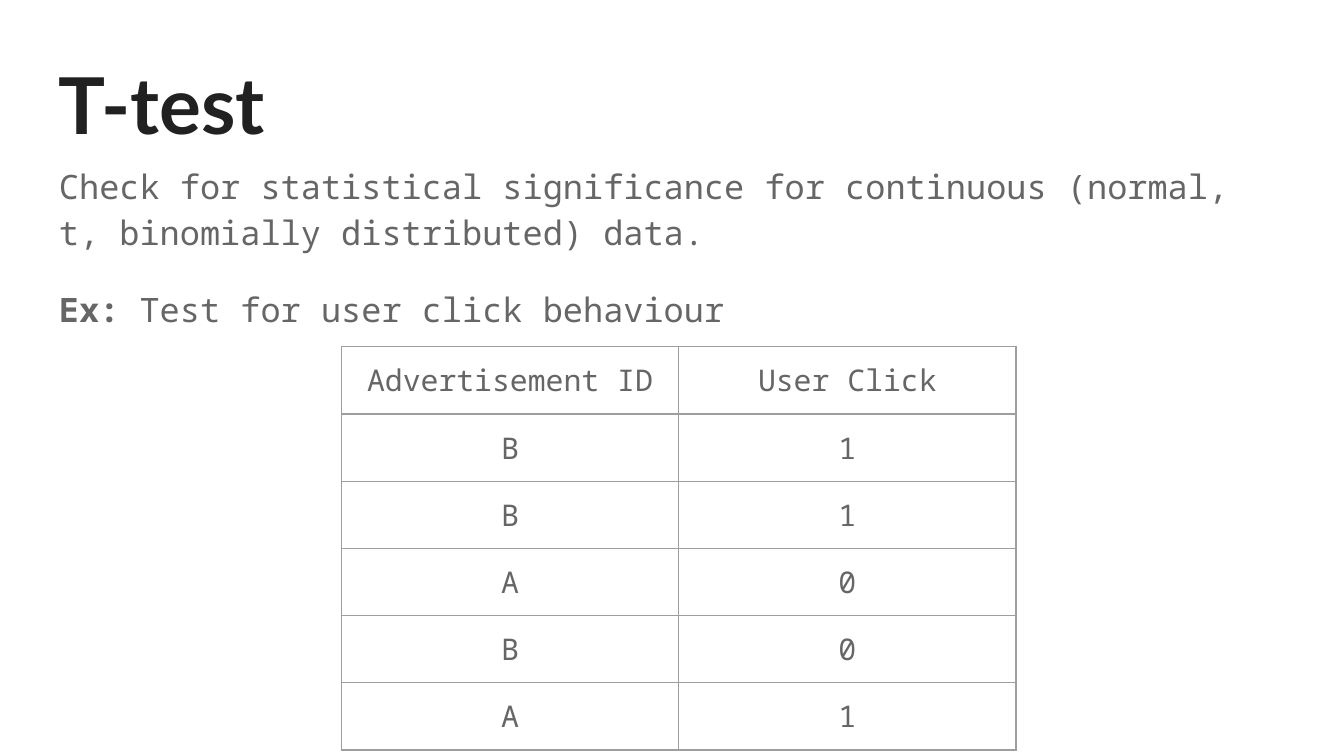
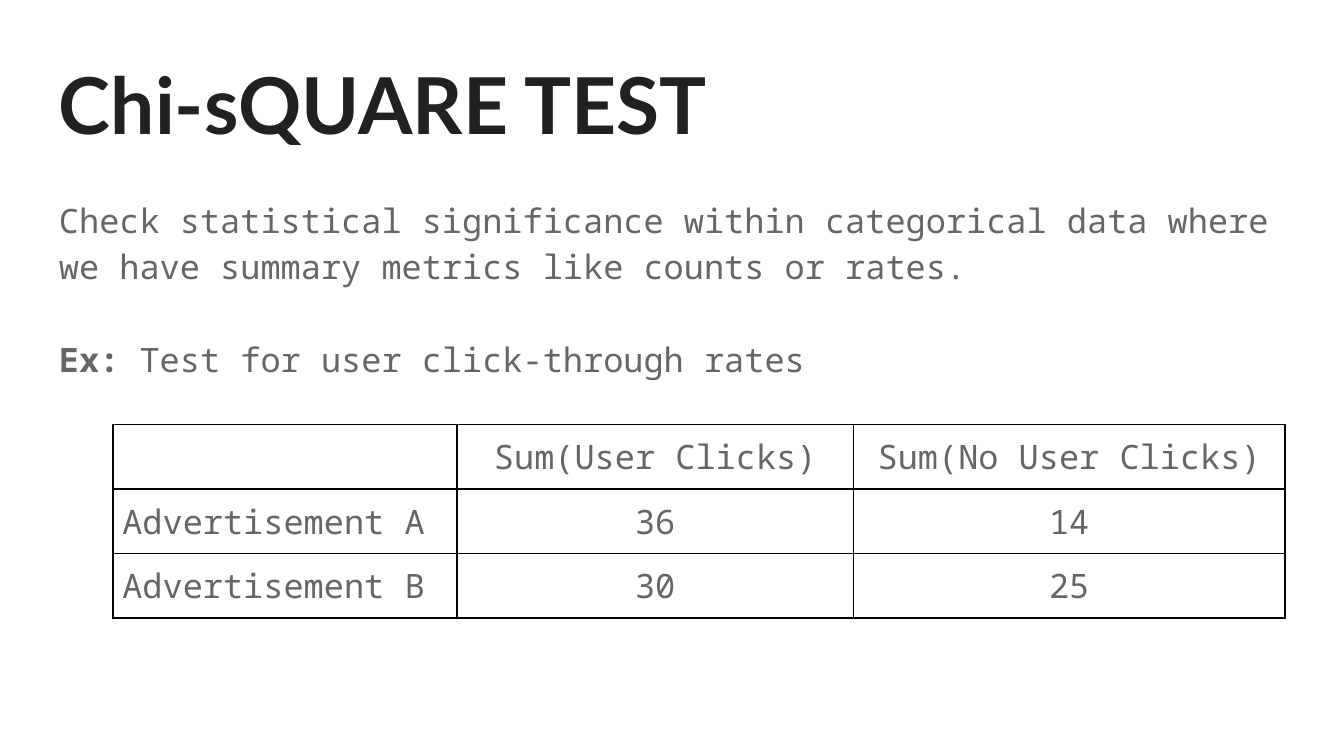
from dataclasses import dataclass

from lxml import etree
from pptx import Presentation
from pptx import util as u
from pptx.dml.color import RGBColor
from pptx.enum import text
from pptx.oxml.ns import qn
from pptx.slide import Slide

HUES = {"title": "212121", "body": "666666", "grey": "9E9E9E", "black": "000000", "page": "FFFFFF"}
HEAD = "Lato"
MONO = "Noto Sans Mono"
LEFT, WIDTH, PAD = 0.34, 9.32, 0.1


@dataclass(frozen=True)
class Grid:
    left: float
    top: float
    cols: tuple[float, ...]
    row: float
    pad: float
    size: int
    hue: str
    line: float
    cells: tuple[tuple[str, ...], ...]
    names: bool = False


@dataclass(frozen=True)
class Page:
    title: str
    top: float
    lead: str
    case: str
    gap: int
    grid: Grid


PAGES = (
    Page(
        "T-test",
        1.09,
        "Check for statistical significance for continuous (normal, t, binomially distributed) data.",
        "Test for user click behaviour",
        16,
        Grid(2.54, 2.58, (2.51, 2.51), 0.5, 0.1, 16, "grey", 0.75, (
            ("Advertisement ID", "User Click"),
            ("B", "1"),
            ("B", "1"),
            ("A", "0"),
            ("B", "0"),
            ("A", "1"),
        )),
    ),
    Page(
        "Chi-sQUARE TEST",
        1.34,
        "Check statistical significance within categorical data where we have summary metrics like counts or rates.",
        "Test for user click-through rates",
        25,
        Grid(0.84, 3.16, (2.56, 2.95, 3.21), 0.48, 0.07, 18, "black", 1, (
            ("", "Sum(User Clicks)", "Sum(No User Clicks)"),
            ("Advertisement A", "36", "14"),
            ("Advertisement B", "30", "25"),
        ), names=True),
    ),
)


def add_run(para, words: str, size: int, face: str = MONO, hue: str = "body", bold: bool = False) -> None:
    run = para.add_run()
    run.text = words
    font = run.font
    font.size, font.name, font.bold = u.Pt(size), face, bold
    font.color.rgb = RGBColor.from_string(HUES[hue])


def set_pad(item, pad: float) -> None:
    item.margin_left = item.margin_right = u.Inches(pad)
    item.margin_top = item.margin_bottom = u.Inches(pad)


def add_box(slide: Slide, top: float, height: float):
    box = slide.shapes.add_textbox(u.Inches(LEFT), u.Inches(top), u.Inches(WIDTH), u.Inches(height))
    frame = box.text_frame
    frame.word_wrap = True
    frame.vertical_anchor = text.MSO_ANCHOR.TOP
    set_pad(frame, PAD)
    return frame


def add_title(slide: Slide, words: str) -> None:
    frame = add_box(slide, 0.32, 0.88)
    add_run(frame.paragraphs[0], words, 42, HEAD, "title", True)


def add_body(slide: Slide, page: Page) -> None:
    frame = add_box(slide, page.top, 3.65)
    lead, case = frame.paragraphs[0], frame.add_paragraph()
    lead.line_spacing = case.line_spacing = 1.15
    case.space_before = u.Pt(page.gap)
    add_run(lead, page.lead, 18)
    add_run(case, "Ex: ", 18, bold=True)
    add_run(case, page.case, 18)


def add_edges(cell, hue: str, line: float) -> None:
    props = cell._tc.get_or_add_tcPr()
    for side in ("lnL", "lnR", "lnT", "lnB"):
        edge = etree.SubElement(props, qn(f"a:{side}"), w=str(u.Pt(line)))
        fill = etree.SubElement(edge, qn("a:solidFill"))
        etree.SubElement(fill, qn("a:srgbClr"), val=HUES[hue])


def add_grid(slide: Slide, grid: Grid) -> None:
    count = len(grid.cells)
    frame = slide.shapes.add_table(
        count, len(grid.cols), u.Inches(grid.left), u.Inches(grid.top),
        u.Inches(sum(grid.cols)), u.Inches(grid.row * count),
    )
    table = frame.table
    table.first_row = table.horz_banding = False
    for col, width in zip(table.columns, grid.cols):
        col.width = u.Inches(width)
    for r, row in enumerate(grid.cells):
        table.rows[r].height = u.Inches(grid.row)
        for c, words in enumerate(row):
            cell = table.cell(r, c)
            set_pad(cell, grid.pad)
            add_edges(cell, grid.hue, grid.line)
            cell.fill.background()
            para = cell.text_frame.paragraphs[0]
            left = grid.names and c == 0
            para.alignment = text.PP_ALIGN.LEFT if left else text.PP_ALIGN.CENTER
            if words:
                add_run(para, words, grid.size)


def main() -> None:
    deck = Presentation()
    deck.slide_width = u.Inches(10)
    deck.slide_height = u.Inches(10) * 9 // 16
    for page in PAGES:
        slide = deck.slides.add_slide(deck.slide_layouts[6])
        fill = slide.background.fill
        fill.solid()
        fill.fore_color.rgb = RGBColor.from_string(HUES["page"])
        add_title(slide, page.title)
        add_body(slide, page)
        add_grid(slide, page.grid)
    deck.save("out.pptx")


if __name__ == "__main__":
    main()
